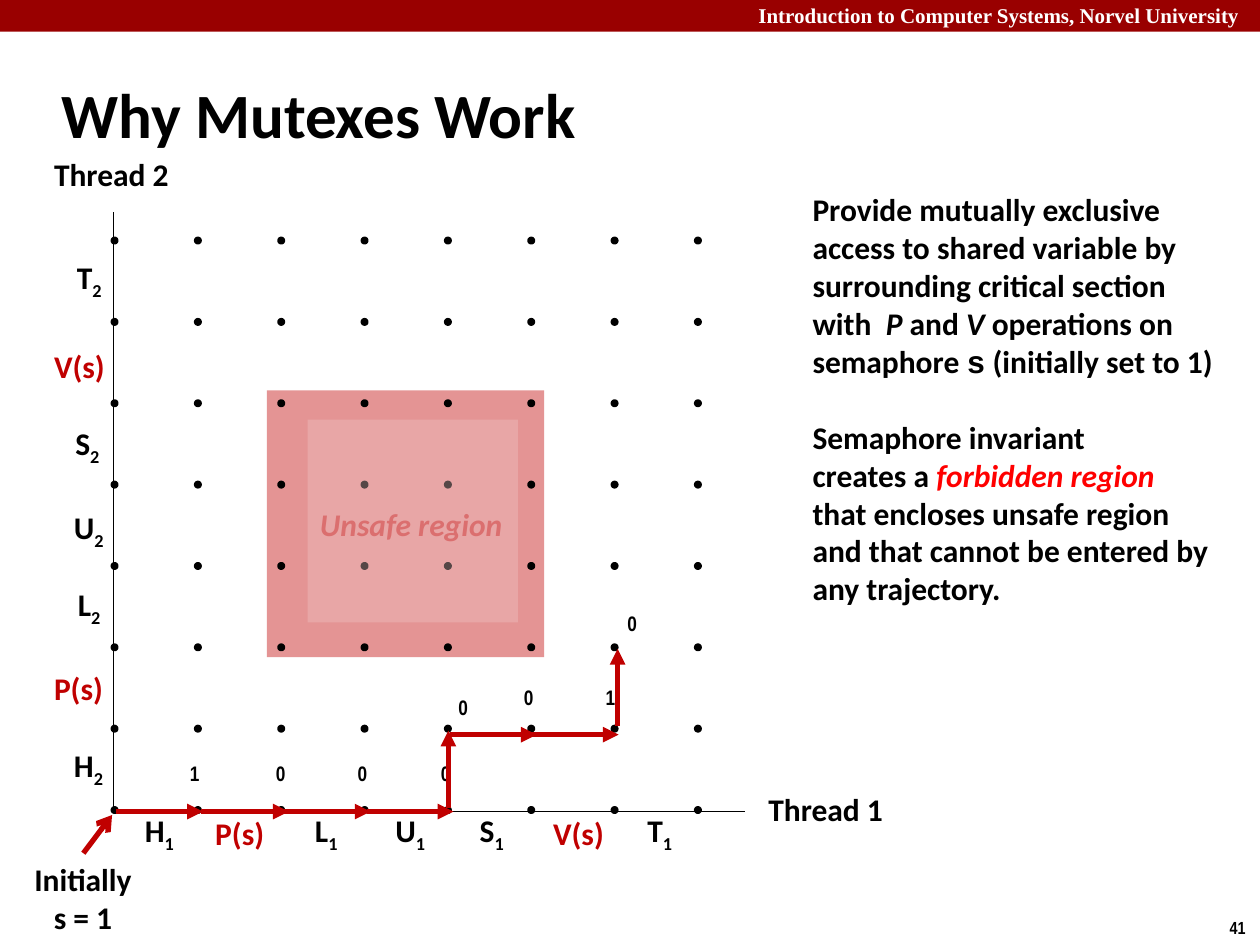
from lxml import etree
from pptx import Presentation
from pptx import util as u
from pptx.dml.color import RGBColor
from pptx.enum import shapes, text
from pptx.oxml.ns import qn

COLORS = {"black": "000000", "white": "FFFFFF", "band": "990000", "red": "C00000",
          "forbidden": "E49494", "unsafe": "F1C7C7", "unsafe text": "DB6F6F",
          "highlight": "FF0000"}

presentation = Presentation()
presentation.slide_width, presentation.slide_height = u.Cm(25.4), u.Cm(19.05)
slide = presentation.slides.add_slide(presentation.slide_layouts[6])


def add_text(left, top, width, height, paragraphs, size=18, font="Calibri",
             color="black", wrap=False, middle=True):
    """Each paragraph is a list of (text, options) runs."""
    shape = slide.shapes.add_textbox(u.Cm(left), u.Cm(top), u.Cm(width), u.Cm(height))
    frame = shape.text_frame
    frame.word_wrap = wrap
    frame.vertical_anchor = text.MSO_ANCHOR.MIDDLE if middle else text.MSO_ANCHOR.TOP
    for index, runs in enumerate(paragraphs):
        paragraph = frame.paragraphs[0] if index == 0 else frame.add_paragraph()
        for words, options in runs:
            run = paragraph.add_run()
            run.text = words
            run.font.size = u.Pt(size)
            run.font.bold = True
            run.font.italic = options.get("italic", False)
            run.font.name = options.get("font", font)
            run.font.color.rgb = RGBColor.from_string(COLORS[options.get("color", color)])
            if "baseline" in options:
                run.font._element.set("baseline", options["baseline"])
    return frame


def add_line(x1, y1, x2, y2, color="black", weight=1, head=None):
    line = slide.shapes.add_connector(shapes.MSO_CONNECTOR.STRAIGHT,
                                      u.Cm(x1), u.Cm(y1), u.Cm(x2), u.Cm(y2))
    line.line.color.rgb = RGBColor.from_string(COLORS[color])
    line.line.width = u.Pt(weight)
    if head:
        etree.SubElement(line.line._get_or_add_ln(), qn("a:tailEnd"), type=head)
    etree.SubElement(line._element.spPr, qn("a:effectLst"))


# Header band, forbidden region, and the unsafe region kept for later stacking
rectangles = {}
for name, left, top, width, height in [("band", 0, 0, 25.4, 0.64),
                                       ("forbidden", 5.38, 7.87, 5.59, 5.38),
                                       ("unsafe", 6.2, 8.46, 4.24, 4.09)]:
    shape = slide.shapes.add_shape(shapes.MSO_SHAPE.RECTANGLE, u.Cm(left), u.Cm(top),
                                   u.Cm(width), u.Cm(height))
    shape.shadow.inherit = False
    shape.fill.solid()
    shape.fill.fore_color.rgb = RGBColor.from_string(COLORS[name])
    shape.line.fill.background()
    rectangles[name] = shape

# Header, page number and title
add_text(15.04, -0.08, 10.54, 0.76,
         [[("Introduction to Computer Systems, Norvel University", {})]],
         size=12, font="Times New Roman", color="white", wrap=True, middle=False)
add_text(24.54, 18.36, 0.86, 0.69, [[("41", {})]], size=10, font="Arial Narrow", middle=False)
add_text(0.99, 1.22, 21.08, 2.11, [[("Why Mutexes Work", {})]], size=36, wrap=True)

# Explanation
italic = {"italic": True}
explanation = add_text(16.13, 3.84, 8.64, 10, [
    [("Provide mutually exclusive access to shared variable by surrounding "
      "critical section with  ", {}), ("P", italic), (" and ", {}), ("V", italic),
     (" operations on semaphore ", {}), ("s", {"font": "Courier New"}),
     (" (initially set to 1)", {})],
    [("Semaphore invariant ", {})],
    [("creates a ", {}), ("forbidden region", {"italic": True, "color": "highlight"})],
    [("that encloses unsafe region and that cannot be entered by any trajectory.", {})],
], wrap=True, middle=False)
explanation.margin_top = explanation.margin_bottom = 0
explanation.paragraphs[1].space_before = u.Pt(22)

# Axes
add_line(2.27, 16.36, 15.01, 16.36)
add_line(2.29, 16.36, 2.29, 4.27)
add_text(15.24, 15.8, 2.84, 1.02, [[("Thread 1", {})]])
add_text(0.84, 3, 2.84, 1.02, [[("Thread 2", {})]])

# Grid of states
DOT = 0.09
for row in range(8):
    for column in range(8):
        dot = slide.shapes.add_shape(
            shapes.MSO_SHAPE.OVAL, u.Cm(2.31 + 1.68 * column - DOT / 2),
            u.Cm(16.33 - 1.64 * row - DOT / 2), u.Cm(DOT), u.Cm(DOT))
        dot.shadow.inherit = False
        dot.fill.solid()
        dot.fill.fore_color.rgb = RGBColor.from_string(COLORS["black"])
        dot.line.color.rgb = RGBColor.from_string(COLORS["black"])
        dot.line.width = u.Pt(2)

# Operation labels: name, width, left on thread 1, left and top on thread 2
for name, width, left_1, left_2, top_2 in [
        ("H", 1.14, 2.67, 1.24, 14.96), ("P(s)", 1.5, 4.09, 0.84, 13.36),
        ("L", 0.99, 6.1, 1.32, 11.71), ("U", 1.14, 7.72, 1.24, 10.16),
        ("S", 1.04, 9.42, 1.27, 8.48), ("V(s)", 1.55, 10.9, 0.84, 6.86),
        ("T", 1.04, 12.8, 1.3, 5.13)]:
    for thread, left, top in [("1", left_1, 16.28), ("2", left_2, top_2)]:
        if name.endswith("(s)"):
            runs = [(name, {"color": "red"})]
        else:
            runs = [(name, {}), (thread, {"baseline": "-25000"})]
        add_text(left, top, width, 1.02, [runs])

# Initial state
initial = add_text(0.43, 17.2, 2.49, 1.8, [[("Initially", {})], [("s = 1", {})]])
for paragraph in initial.paragraphs:
    paragraph.alignment = text.PP_ALIGN.CENTER
add_line(1.68, 17.2, 2.26, 16.43, "red", 3, "arrow")

# Unsafe region, translucent above the grid
unsafe = rectangles["unsafe"]
slide.shapes._spTree.append(unsafe._element)
color_element = unsafe._element.spPr.find(qn("a:solidFill"))[0]
etree.SubElement(color_element, qn("a:alpha"), val="36000")
add_text(6.2, 10.06, 4.24, 1.02, [[("Unsafe region", {"italic": True})]],
         color="unsafe text", middle=False)

# Trajectory: arrow ends, then semaphore value with its left and top
for x1, y1, x2, y2, value, left, top in [
        (2.34, 16.36, 4.09, 16.36, "1", 3.58, 15.21),
        (4.06, 16.36, 5.82, 16.36, "0", 5.31, 15.21),
        (5.72, 16.36, 7.47, 16.36, "0", 6.96, 15.21),
        (7.39, 16.36, 9.14, 16.36, "0", 8.64, 15.21),
        (9.04, 16.28, 9.04, 14.73, "0", 8.99, 13.87),
        (9.07, 14.81, 10.82, 14.81, "0", 10.31, 13.67),
        (10.72, 14.81, 12.47, 14.81, "1", 11.96, 13.67),
        (12.45, 14.63, 12.45, 13.08, "0", 12.4, 12.19)]:
    add_text(left, top, 0.71, 0.76, [[(value, {})]], size=12, font="Arial Narrow")
    add_line(x1, y1, x2, y2, "red", 3, "triangle")

presentation.save("out.pptx")
